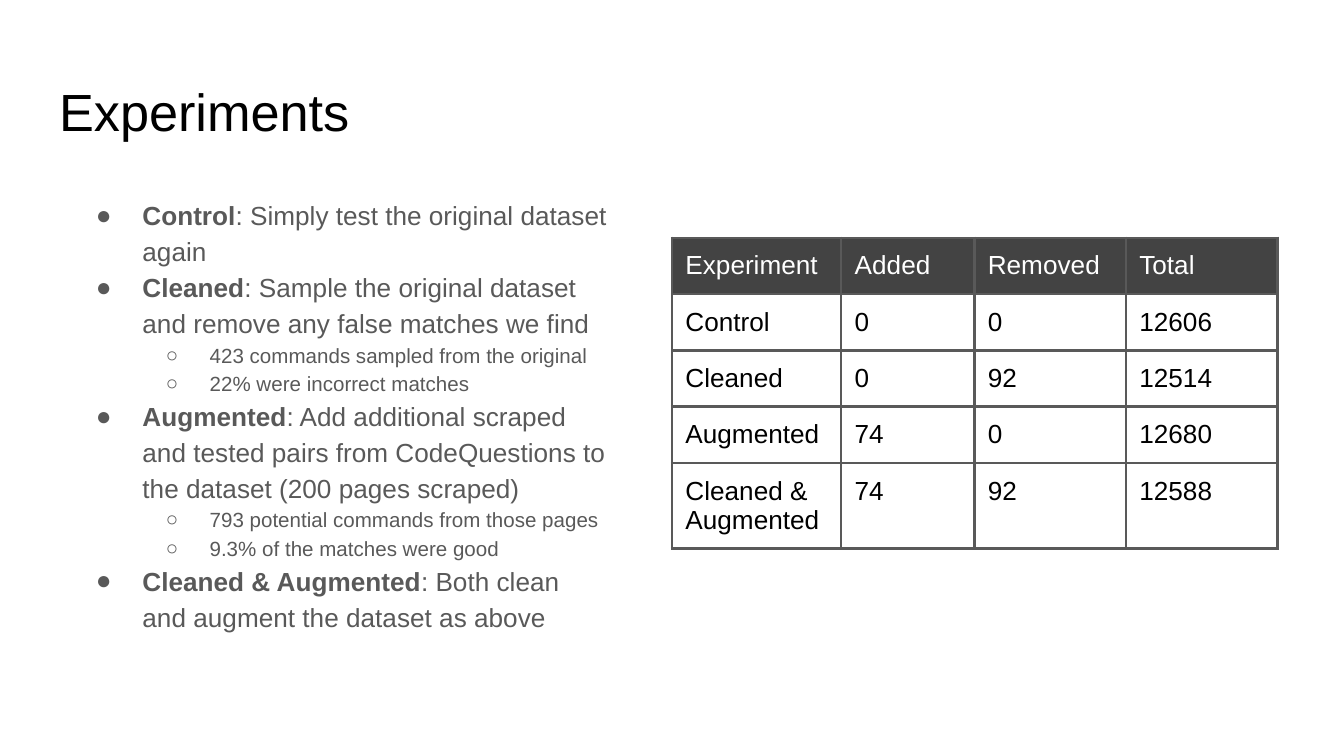
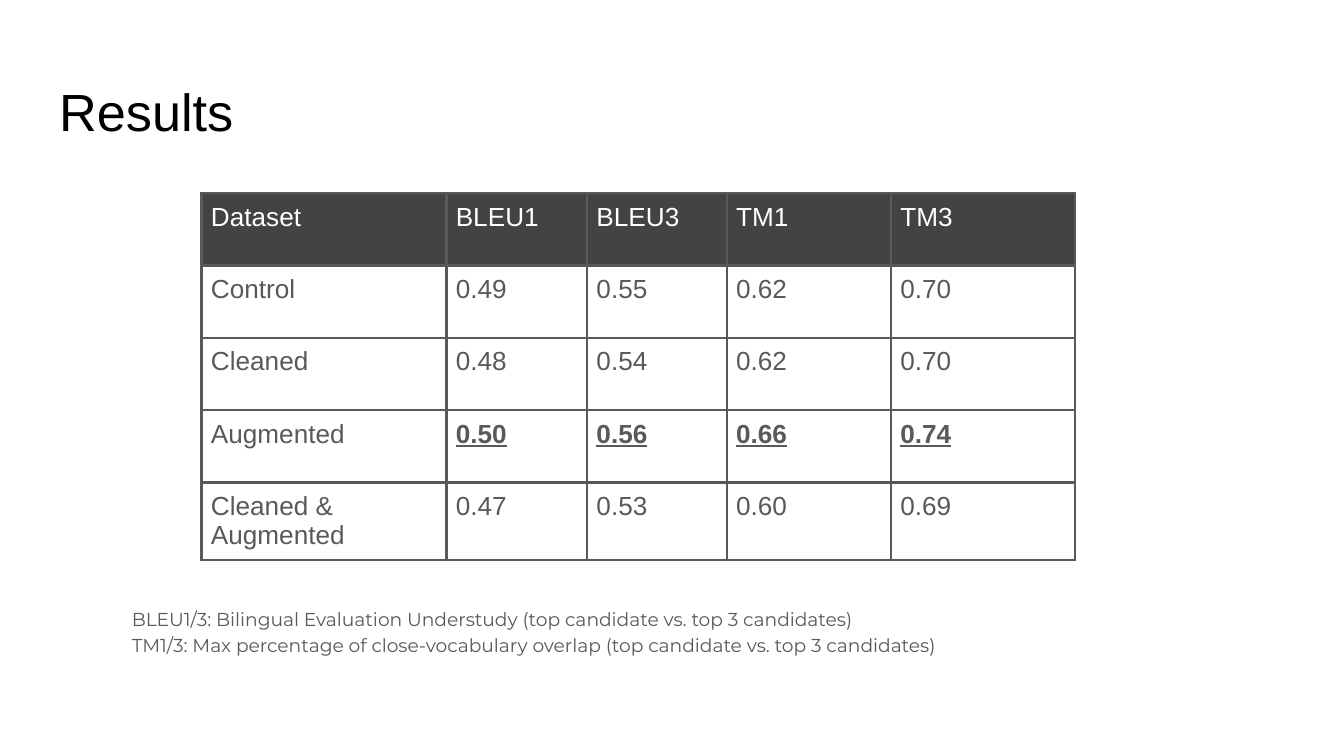
from dataclasses import dataclass

from lxml.etree import SubElement
from pptx import Presentation
from pptx.dml.color import RGBColor
from pptx.enum.text import MSO_ANCHOR, MSO_AUTO_SIZE, PP_ALIGN
from pptx.oxml.ns import qn
from pptx.util import Pt


@dataclass(frozen=True)
class Theme:
    black: str = "000000"
    white: str = "FFFFFF"
    gray: str = "595959"
    header: str = "434343"
    font: str = "Arial"
    note_font: str = "Montserrat"
    title_size: float = 28
    text_size: float = 14
    detail_size: float = 11
    note_size: float = 10
    line_spacing: float = 1.15
    inset: float = 7.2
    border: float = 1.5


theme = Theme()


def style(span, size, color, bold=False, name=theme.font):
    span.font.name = name
    span.font.size = Pt(size)
    span.font.bold = bold
    span.font.color.rgb = RGBColor.from_string(color)


def place(box, left, top, width, height):
    box.left, box.top, box.width, box.height = Pt(left), Pt(top), Pt(width), Pt(height)
    frame = box.text_frame
    frame.word_wrap = True
    frame.auto_size = MSO_AUTO_SIZE.NONE
    frame.vertical_anchor = MSO_ANCHOR.TOP
    frame.margin_left = frame.margin_right = Pt(theme.inset)
    frame.margin_top = frame.margin_bottom = Pt(theme.inset)
    return frame


deck = Presentation()
deck.slide_width, deck.slide_height = Pt(720), Pt(405)

pages = []
for heading in ("Experiments", "Results"):
    page = deck.slides.add_slide(deck.slide_layouts[1])
    frame = place(page.shapes.title, 24.5, 35.05, 671, 45.1)
    frame.text = heading
    frame.paragraphs[0].alignment = PP_ALIGN.LEFT
    style(frame.paragraphs[0].runs[0], theme.title_size, theme.black)
    pages.append(page)
experiments, results = pages

bullets = [
    (0, "Control", ": Simply test the original dataset again"),
    (0, "Cleaned", ": Sample the original dataset and remove any false matches we find"),
    (1, "", "423 commands sampled from the original"),
    (1, "", "22% were incorrect matches"),
    (0, "Augmented", ": Add additional scraped and tested pairs from CodeQuestions to the dataset (200 pages scraped)"),
    (1, "", "793 potential commands from those pages"),
    (1, "", "9.3% of the matches were good"),
    (0, "Cleaned & Augmented", ": Both clean and augment the dataset as above"),
]
levels = [("●", 36, 25, theme.text_size), ("○", 72, 23.5, theme.detail_size)]

frame = place(experiments.placeholders[1], 33.1, 97.2, 299.5, 284.4)
for index, (level, term, detail) in enumerate(bullets):
    para = frame.add_paragraph() if index else frame.paragraphs[0]
    symbol, margin, hanging, size = levels[level]
    para.level = level
    para.line_spacing = theme.line_spacing
    para.space_before = Pt(0)
    for text, bold in ((term, True), (detail, False)):
        if text:
            span = para.add_run()
            span.text = text
            style(span, size, theme.gray, bold)
    properties = para._p.get_or_add_pPr()
    properties.set("marL", str(Pt(margin)))
    properties.set("indent", str(-Pt(hanging)))
    bullet_color = SubElement(properties, qn("a:buClr"))
    SubElement(bullet_color, qn("a:srgbClr"), val=theme.gray)
    SubElement(properties, qn("a:buFont"), typeface=theme.font)
    SubElement(properties, qn("a:buChar"), char=symbol)

frame = place(results.placeholders[1], 63.4, 316.8, 557.3, 56.9)
para = frame.paragraphs[0]
para.line_spacing = theme.line_spacing
para.space_before = Pt(0)
notes = (
    "BLEU1/3: Bilingual Evaluation Understudy (top candidate vs. top 3 candidates)",
    "TM1/3: Max percentage of close-vocabulary overlap (top candidate vs. top 3 candidates)",
)
for index, note in enumerate(notes):
    if index:
        para.add_line_break()
    span = para.add_run()
    span.text = note
    style(span, theme.note_size, theme.gray, name=theme.note_font)
properties = para._p.get_or_add_pPr()
properties.set("marL", "0")
properties.set("indent", "0")
SubElement(properties, qn("a:buNone"))

experiment_rows = [
    ("Experiment", "Added", "Removed", "Total"),
    ("Control", "0", "0", "12606"),
    ("Cleaned", "0", "92", "12514"),
    ("Augmented", "74", "0", "12680"),
    ("Cleaned & Augmented", "74", "92", "12588"),
]
result_rows = [
    ("Dataset", "BLEU1", "BLEU3", "TM1", "TM3"),
    ("Control", "0.49", "0.55", "0.62", "0.70"),
    ("Cleaned", "0.48", "0.54", "0.62", "0.70"),
    ("Augmented", "0.50", "0.56", "0.66", "0.74"),
    ("Cleaned & Augmented", "0.47", "0.53", "0.60", "0.69"),
]
best_row = 3
grids = [
    (experiments, experiment_rows, 360, 127.4, (90.7, 71.3, 81.2, 81.2), 30.1, 7.2, theme.black),
    (results, result_rows, 108, 103.5, (131.2, 75.4, 74.8, 88, 98.6), 38.75, 5, theme.gray),
]
for page, rows, left, top, widths, row_height, inset, color in grids:
    table = page.shapes.add_table(
        len(rows), len(widths), Pt(left), Pt(top), Pt(sum(widths)), Pt(row_height * len(rows))
    ).table
    table.first_row = table.horz_banding = False
    for column, width in zip(table.columns, widths):
        column.width = Pt(width)
    for row_index, row in enumerate(rows):
        for column_index, text in enumerate(row):
            cell = table.cell(row_index, column_index)
            cell.text = text
            cell.margin_left = cell.margin_right = Pt(inset)
            cell.margin_top = cell.margin_bottom = Pt(inset)
            span = cell.text_frame.paragraphs[0].runs[0]
            best = page is results and row_index == best_row and column_index > 0
            style(span, theme.text_size, color if row_index else theme.white, best)
            if best:
                span.font.underline = True
            properties = cell._tc.get_or_add_tcPr()
            for side in ("a:lnL", "a:lnR", "a:lnT", "a:lnB"):
                line = SubElement(properties, qn(side), w=str(Pt(theme.border)))
                fill = SubElement(line, qn("a:solidFill"))
                SubElement(fill, qn("a:srgbClr"), val=theme.gray)
            if row_index:
                cell.fill.background()
            else:
                cell.fill.solid()
                cell.fill.fore_color.rgb = RGBColor.from_string(theme.header)

deck.save("out.pptx")
